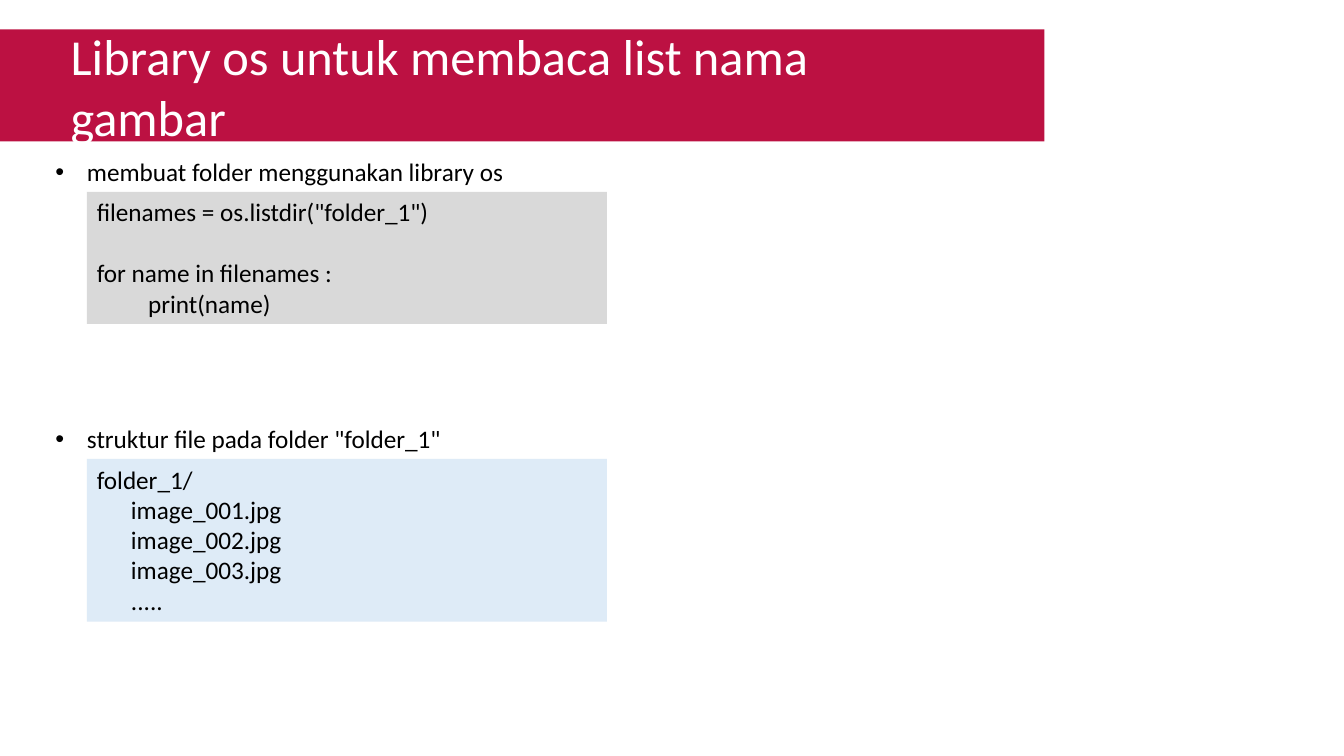
from pptx import Presentation
from pptx.dml.color import RGBColor
from pptx.enum.shapes import MSO_SHAPE
from pptx.enum.text import MSO_ANCHOR, MSO_AUTO_SIZE, PP_ALIGN
from pptx.util import Pt

TITLE = "Library os untuk membaca list nama gambar"
LINE_HEIGHT = 22
SECTIONS = [
    {
        "top": 108,
        "heading": "membuat folder menggunakan library os",
        "fill": "D9D9D9",
        "lines": [
            ('filenames = os.listdir("folder_1")', 0, 0),
            ("for name in filenames :", 0, LINE_HEIGHT),
            ("print(name)", 36.6, 0),
        ],
        "height": 94.4,
    },
    {
        "top": 298.8,
        "heading": 'struktur file pada folder "folder_1"',
        "fill": "DEEBF7",
        "lines": [
            ("folder_1/", 0, 0),
            ("image_001.jpg", 24.4, 0),
            ("image_002.jpg", 24.4, 0),
            ("image_003.jpg", 24.4, 0),
            (".....", 24.4, 0),
        ],
        "height": 116.2,
    },
]
HEADING_LEFT, HEADING_WIDTH, HEADING_HEIGHT = 32.4, 679, 29
PANEL_LEFT, PANEL_WIDTH = 62.1, 371.5


def color(value):
    return RGBColor.from_string(value)


def place(box, left, top, width, height):
    box.left, box.top, box.width, box.height = map(Pt, (left, top, width, height))


def add_panel(page, left, top, width, height, fill):
    panel = page.shapes.add_shape(
        MSO_SHAPE.RECTANGLE, Pt(left), Pt(top), Pt(width), Pt(height))
    panel.shadow.inherit = False
    panel.fill.solid()
    panel.fill.fore_color.rgb = color(fill)
    panel.line.fill.background()
    return panel


def write(para, text, size=18, ink="000000", margin=0, indent=0, before=0):
    para.alignment = PP_ALIGN.LEFT
    para.space_before = Pt(before)
    properties = para._p.get_or_add_pPr()
    properties.set("marL", str(Pt(margin)))
    properties.set("indent", str(Pt(indent)))
    span = para.add_run()
    span.text = text
    span.font.name = "Calibri"
    span.font.size = Pt(size)
    span.font.color.rgb = color(ink)


def prepare(box, anchor=MSO_ANCHOR.TOP, wrap=True):
    frame = box.text_frame
    frame.word_wrap = wrap
    frame.auto_size = MSO_AUTO_SIZE.NONE
    frame.vertical_anchor = anchor
    return frame


def main():
    deck = Presentation()
    deck.slide_width, deck.slide_height = Pt(960), Pt(540)
    page = deck.slides.add_slide(deck.slide_layouts.get_by_name("Two Content"))
    title, *headings = page.placeholders

    band = add_panel(page, 0, 21, 746, 80, "BC1142")
    title.element.addprevious(band.element)
    place(title, 43.2, 36, 660, 51)
    frame = prepare(title, MSO_ANCHOR.MIDDLE, wrap=False)
    write(frame.paragraphs[0], TITLE, size=36, ink="FFFFFF")

    for heading, section in zip(headings, SECTIONS):
        place(heading, HEADING_LEFT, section["top"], HEADING_WIDTH, HEADING_HEIGHT)
        write(prepare(heading).paragraphs[0], section["heading"],
              margin=22.5, indent=-22.5)

        panel = add_panel(page, PANEL_LEFT, section["top"] + HEADING_HEIGHT,
                          PANEL_WIDTH, section["height"], section["fill"])
        frame = prepare(panel)
        for number, (text, margin, before) in enumerate(section["lines"]):
            para = frame.add_paragraph() if number else frame.paragraphs[0]
            write(para, text, margin=margin, before=before)

    deck.save("out.pptx")


if __name__ == "__main__":
    main()
